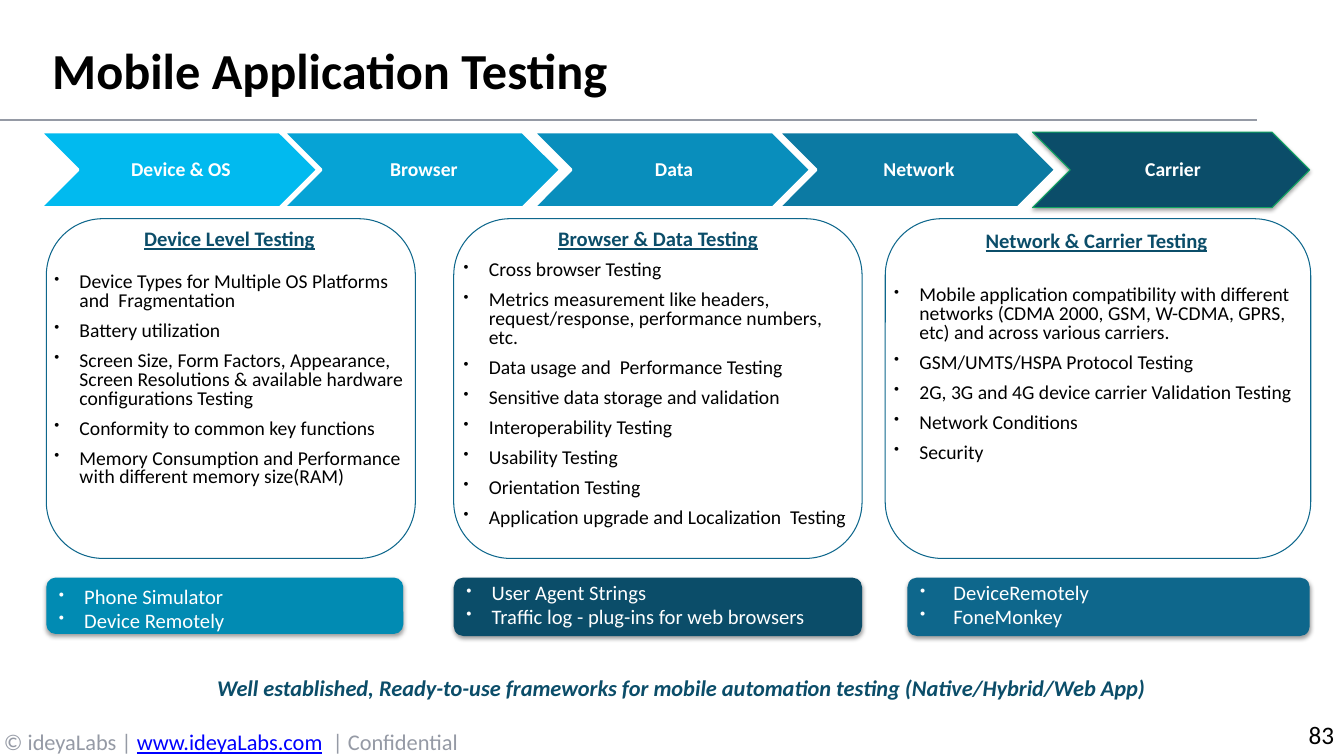
from lxml.etree import SubElement
from pptx import Presentation
from pptx.dml.color import RGBColor
from pptx.enum.shapes import MSO_CONNECTOR, MSO_SHAPE
from pptx.enum.text import MSO_ANCHOR, PP_ALIGN
from pptx.oxml.ns import qn
from pptx.util import Inches, Pt

COLORS = {
    "white": "FFFFFF", "black": "000000", "grey": "959AA5", "link": "0000FF",
    "sky": "01BAEF", "azure": "06A3D5", "ocean": "098EBC", "steel": "0C7AA3",
    "navy": "0B4D69", "green": "11A561", "teal": "018BB3", "blue": "0E678C",
}

STAGES = [
    ("Device & OS", 0.4, "sky"), ("Browser", 2.81, "azure"), ("Data", 5.29, "ocean"),
    ("Network", 7.72, "steel"), ("Carrier", 10.24, "navy"),
]

CARDS = [
    {"heading": "Device Level Testing", "frame": (0.46, 3.66), "body": (0.44, 2.24, 3.67, 2.68),
     "gap": 16.5,
     "points": ["Device Types for Multiple OS Platforms and  Fragmentation",
                "Battery utilization",
                "Screen Size, Form Factors, Appearance, Screen Resolutions & available hardware "
                "configurations Testing",
                "Conformity to common key functions",
                "Memory Consumption and Performance with different memory size(RAM)"]},
    {"heading": "Browser & Data Testing", "frame": (4.5, 4.05), "body": (4.5, 2.24, 4.05, 3.09),
     "gap": 8,
     "points": ["Cross browser Testing",
                "Metrics measurement like headers, request/response, performance numbers, etc.",
                "Data usage and  Performance Testing",
                "Sensitive data storage and validation",
                "Interoperability Testing",
                "Usability Testing",
                "Orientation Testing",
                "Application upgrade and Localization  Testing"]},
    {"heading": "Network & Carrier Testing", "frame": (8.78, 4.22), "body": (8.77, 2.26, 4.21, 2.65),
     "gap": 24.5,
     "points": ["Mobile application compatibility with different networks (CDMA 2000, GSM, W-CDMA, "
                "GPRS, etc) and across various carriers.",
                "GSM/UMTS/HSPA Protocol Testing",
                "2G, 3G and 4G device carrier Validation Testing",
                "Network Conditions",
                "Security"]},
]

TOOLS = [
    (["Phone Simulator", "Device Remotely"], (0.46, 5.73, 3.54, 0.56), "teal", 0.25, (0.1, 0)),
    (["User Agent Strings", "Traffic log - plug-ins for web browsers"],
     (4.5, 5.73, 4.05, 0.58), "navy", 0.25, (0.05, 0.05)),
    (["DeviceRemotely", "FoneMonkey"], (9, 5.73, 3.99, 0.58), "blue", 0.33, (0.05, 0.05)),
]


class SlideBuilder:
    """Holds the slide and its style, and adds each kind of element."""

    font = "Calibri"

    def __init__(self, slide):
        self.slide = slide

    def color(self, name):
        return RGBColor.from_string(COLORS[name])

    def frame(self, shape, anchor=MSO_ANCHOR.TOP, margins=(0.1, 0.05, 0.1, 0.05)):
        frame = shape.text_frame
        frame.word_wrap = True
        frame.vertical_anchor = anchor
        (frame.margin_left, frame.margin_top,
         frame.margin_right, frame.margin_bottom) = map(Inches, margins)
        return frame

    def text_box(self, at, anchor=MSO_ANCHOR.TOP):
        return self.frame(self.slide.shapes.add_textbox(*map(Inches, at)), anchor)

    def paragraph(self, frame, runs, size, align=PP_ALIGN.LEFT, spacing=None, before=0,
                  indent=None, bold=False, italic=False):
        first = not frame.paragraphs[0].runs
        paragraph = frame.paragraphs[0] if first else frame.add_paragraph()
        paragraph.alignment = align
        if spacing:
            paragraph.line_spacing = spacing
        paragraph.space_before = Pt(0 if first else before)
        if indent:
            self.bullet(paragraph, indent)
        for text, color, underline in runs:
            run = paragraph.add_run()
            run.text = text
            font = run.font
            font.name, font.size = self.font, Pt(size)
            font.bold, font.italic, font.underline = bold, italic, underline
            font.color.rgb = self.color(color)

    def bullet(self, paragraph, indent):
        properties = paragraph._p.get_or_add_pPr()
        properties.set("marL", str(Inches(indent)))
        properties.set("indent", str(-Inches(indent)))
        SubElement(properties, qn("a:buSzPct")).set("val", "75000")
        SubElement(properties, qn("a:buChar")).set("char", "•")

    def shape(self, kind, at, fill, line=None, width=0.75):
        shape = self.slide.shapes.add_shape(kind, *map(Inches, at))
        shape.shadow.inherit = False
        shape.fill.solid()
        shape.fill.fore_color.rgb = self.color(fill)
        if line:
            shape.line.color.rgb = self.color(line)
            shape.line.width = Pt(width)
        else:
            shape.line.fill.background()
        return shape

    def cast_shadow(self, shape, alpha, distance):
        effects = shape._element.spPr.find(qn("a:effectLst"))
        shadow = SubElement(effects, qn("a:outerShdw"), blurRad=str(Pt(3.1)),
                            dist=str(Pt(distance)), dir="5400000", rotWithShape="0")
        tint = SubElement(shadow, qn("a:srgbClr"), val=COLORS["black"])
        SubElement(tint, qn("a:alpha"), val=str(alpha * 1000))

    def rule(self, left, right, top):
        rule = self.slide.shapes.add_connector(
            MSO_CONNECTOR.STRAIGHT, Inches(left), Inches(top), Inches(right), Inches(top))
        rule.line.color.rgb = self.color("grey")
        rule.line.width = Pt(1)
        SubElement(rule._element.spPr, qn("a:effectLst"))

    def stage(self, label, left, fill):
        last = label == STAGES[-1][0]
        line, width = ("green", 0.75) if last else ("white", 2)
        chevron = self.shape(MSO_SHAPE.CHEVRON, (left, 1.31, 2.75, 0.75), fill, line, width)
        if last:
            self.cast_shadow(chevron, 35, 1.8)
        frame = self.frame(chevron, MSO_ANCHOR.MIDDLE, (0.06, 0.02, 0.02, 0.02))
        self.paragraph(frame, [(label, "white", False)], 14, PP_ALIGN.CENTER, 0.9, bold=True)

    def card(self, heading, frame, body, gap, points):
        left, width = frame
        self.shape(MSO_SHAPE.ROUNDED_RECTANGLE, (left, 2.17, width, 3.37), "white", "blue")
        text = self.text_box(body)
        self.paragraph(text, [(heading, "navy", True)], 14.7, PP_ALIGN.CENTER, 0.8, bold=True)
        for index, point in enumerate(points):
            self.paragraph(text, [(point, "black", False)], 14, spacing=0.8,
                           before=8 if index else gap, indent=0.25)

    def tool_list(self, tools, at, fill, indent, margins):
        pill = self.shape(MSO_SHAPE.ROUNDED_RECTANGLE, at, fill)
        self.cast_shadow(pill, 38, 1.6)
        top, bottom = margins
        frame = self.frame(pill, MSO_ANCHOR.MIDDLE, (0.1, top, 0.1, bottom))
        for tool in tools:
            self.paragraph(frame, [(tool, "white", False)], 14.7, spacing=0.8,
                           before=2.9, indent=indent)


def main():
    deck = Presentation()
    deck.slide_width, deck.slide_height = Inches(13.33), Inches(7.5)
    builder = SlideBuilder(deck.slides.add_slide(deck.slide_layouts[6]))

    footer = builder.text_box((-0.1, 7.16, 4.78, 0.4), MSO_ANCHOR.MIDDLE)
    builder.paragraph(footer, [("© ideyaLabs | ", "grey", False),
                               ("www.ideyaLabs.com", "link", True),
                               ("  | Confidential", "grey", False)], 16, PP_ALIGN.CENTER)
    builder.rule(0, 12.47, 1.19)
    title = builder.text_box((0.42, 0.08, 12, 0.96), MSO_ANCHOR.BOTTOM)
    builder.paragraph(title, [("Mobile Application Testing", "black", False)], 36, bold=True)

    for stage in STAGES:
        builder.stage(*stage)
    for card in CARDS:
        builder.card(**card)
    for tools in TOOLS:
        builder.tool_list(*tools)

    summary = builder.text_box((1, 6.64, 11.52, 0.37))
    builder.paragraph(summary, [("Well established, Ready-to-use frameworks for mobile automation "
                                 "testing (Native/Hybrid/Web App)", "navy", False)],
                      16, PP_ALIGN.CENTER, bold=True, italic=True)
    page_number = builder.text_box((10.22, 7.09, 3.11, 0.4))
    builder.paragraph(page_number, [("83", "black", False)], 18, PP_ALIGN.RIGHT)
    deck.save("out.pptx")


if __name__ == "__main__":
    main()
